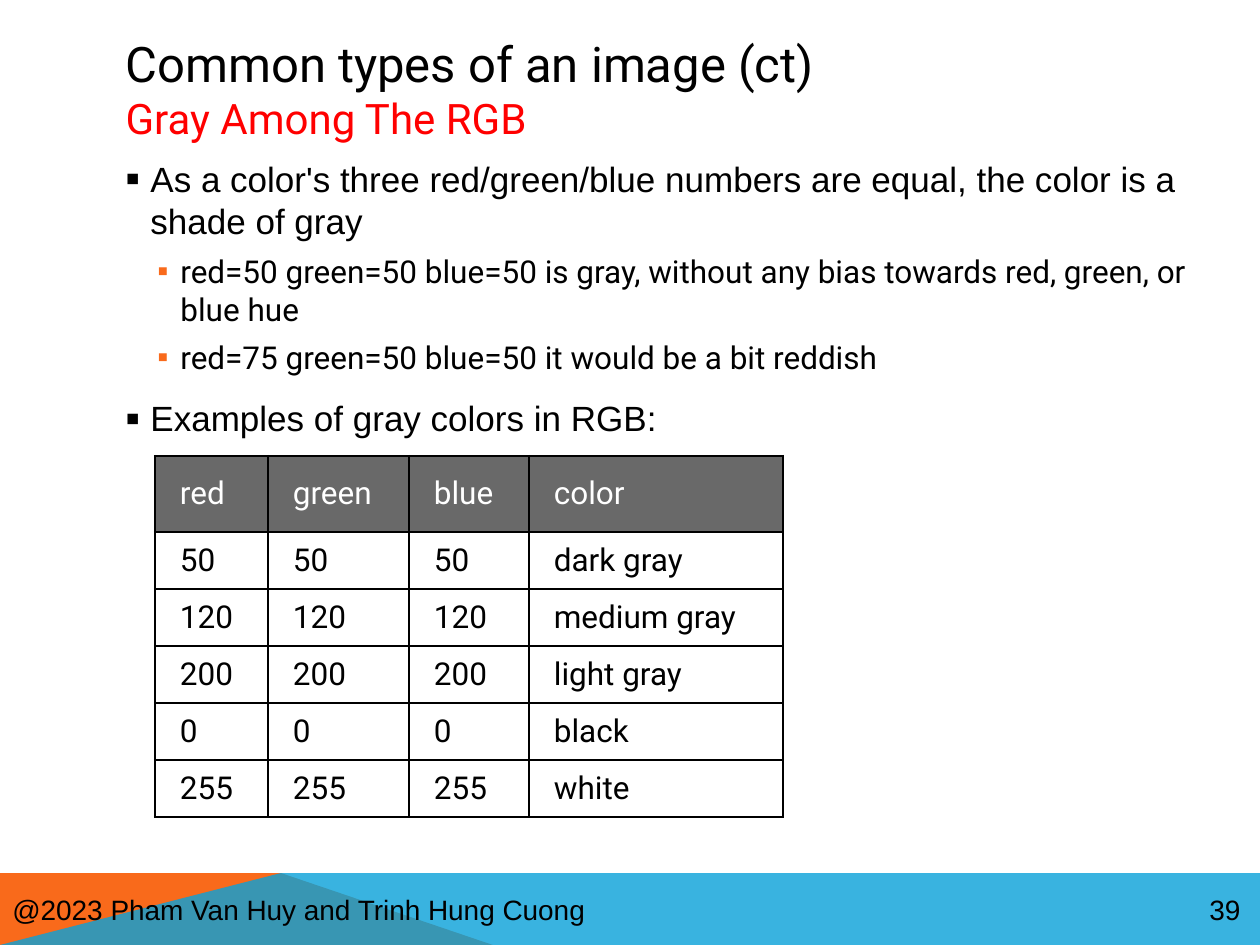
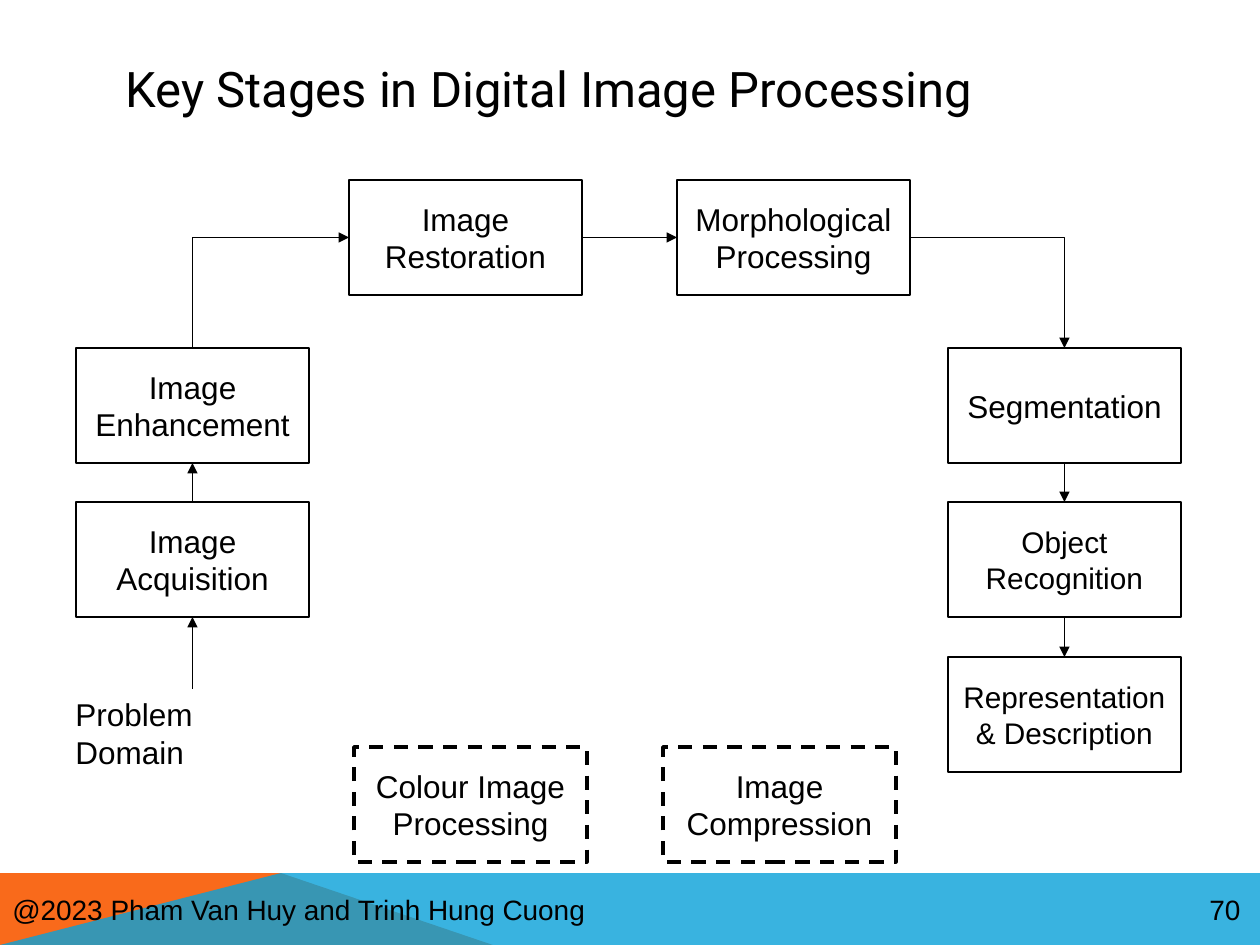
import copy
import pptx
import pptx.util
import pptx.dml.color
import pptx.enum.dml
import pptx.enum.shapes
import pptx.enum.text
import pptx.oxml
import pptx.oxml.ns

SCALE = 914400 / 126
COLORS = {
    "black": "000000", "white": "FFFFFF", "red": "FF0000",
    "orange": "F96A1B", "blue": "08A1D9", "head": "696969",
}
ALIGN = pptx.enum.text.PP_ALIGN
MIDDLE = pptx.enum.text.MSO_ANCHOR.MIDDLE
FIT = pptx.enum.text.MSO_AUTO_SIZE
LINKS = pptx.enum.shapes.MSO_CONNECTOR
TOP, LEFT, BOTTOM, RIGHT = range(4)
BOX_W, BOX_H = 233, 115


def px(*nums):
    return [pptx.util.Emu(round(n * SCALE)) for n in nums]


def rgb(name):
    return pptx.dml.color.RGBColor.from_string(COLORS[name])


def add_xml(node, tag, **attrs):
    child = pptx.oxml.ns.qn("a:" + tag)
    item = node.makeelement(child, attrs)
    node.append(item)
    return item


def write(para, text, size=18, font="Arial", color="black", align=None):
    run = para.add_run()
    run.text = text
    run.font.size = pptx.util.Pt(size)
    run.font.name = font
    run.font.color.rgb = rgb(color)
    if align is not None:
        para.alignment = align
    return run


def add_text(slide, area, anchor=None, wrap=True, fit=FIT.NONE):
    box = slide.shapes.add_textbox(*px(*area))
    frame = box.text_frame
    frame.word_wrap = wrap
    frame.auto_size = fit
    if anchor is not None:
        frame.vertical_anchor = anchor
    return box


def add_band(slide, points, color, alpha=None):
    maker = slide.shapes.build_freeform(*points[0], scale=SCALE)
    maker.add_line_segments(points[1:], close=True)
    band = maker.convert_to_shape()
    band.shadow.inherit = False
    band.fill.solid()
    band.fill.fore_color.rgb = rgb(color)
    band.line.fill.background()
    if alpha:
        tint = band._element.spPr.find(".//" + pptx.oxml.ns.qn("a:srgbClr"))
        add_xml(tint, "alpha", val=str(alpha * 1000))


def add_slide(deck, title, page, sub=None):
    slide = deck.slides.add_slide(deck.slide_layouts[5])
    head = slide.shapes.title
    head.left, head.top, head.width, head.height = px(113, 50, 1037, 76)
    frame = head.text_frame
    frame.vertical_anchor = MIDDLE
    frame.auto_size = FIT.NONE
    para = frame.paragraphs[0]
    run = write(para, title, size=28, font="Roboto", align=ALIGN.LEFT)
    if sub:
        para.add_line_break()
        para._p[-1].append(copy.deepcopy(run._r.rPr))
        write(para, sub, size=24, font="Roboto", color="red")
    add_band(slide, [(0, 945), (0, 873), (281, 873), (493, 945)], "orange")
    add_band(slide, [(0, 945), (281, 873), (1260, 873), (1260, 945)], "blue", 80)
    note = add_text(slide, (0, 886, 605, 47), anchor=MIDDLE)
    write(note.text_frame.paragraphs[0],
          "@2023 Pham Van Huy and Trinh Hung Cuong", size=16)
    num = add_text(slide, (1197, 886, 62, 47), anchor=MIDDLE)
    write(num.text_frame.paragraphs[0], page, size=16, align=ALIGN.JUSTIFY)
    return slide


def add_list(slide, area, items):
    frame = add_text(slide, area).text_frame
    for i, (level, text) in enumerate(items):
        para = frame.add_paragraph() if i else frame.paragraphs[0]
        para.level = level
        props = para._p.get_or_add_pPr()
        left, hang = px(*((55, 23) if level else (25, 25)))
        props.set("marL", str(left))
        props.set("indent", str(-hang))
        if i:
            para.space_before = pptx.util.Pt(6 if level else 12)
        if level:
            tint = add_xml(props, "buClr")
            add_xml(tint, "srgbClr", val=COLORS["orange"])
        else:
            add_xml(props, "buSzPct", val="120000")
        add_xml(props, "buFont", typeface="Arial")
        add_xml(props, "buChar", char="▪")
        write(para, text, size=18 if level else 20,
              font="Roboto" if level else "Arial")


def add_edges(cell):
    props = cell._tc.get_or_add_tcPr()
    for side in "LRTB":
        edge = add_xml(props, "ln" + side, w=str(pptx.util.Pt(1.5)))
        fill = add_xml(edge, "solidFill")
        add_xml(fill, "srgbClr", val=COLORS["black"])


def add_grid(slide, left, top, widths, heights, rows):
    area = px(left, top, sum(widths), sum(heights))
    table = slide.shapes.add_table(len(rows), len(widths), *area).table
    table.first_row = table.horz_banding = False
    for col, width in zip(table.columns, px(*widths)):
        col.width = width
    for r, (row, height) in enumerate(zip(rows, px(*heights))):
        table.rows[r].height = height
        for c, text in enumerate(row):
            cell = table.cell(r, c)
            add_edges(cell)
            cell.fill.solid()
            cell.fill.fore_color.rgb = rgb("white" if r else "head")
            cell.vertical_anchor = MIDDLE
            cell.margin_left, cell.margin_right = px(25, 25)
            cell.margin_top, cell.margin_bottom = px(*[9 if r else 13] * 2)
            write(cell.text_frame.paragraphs[0], text, font="Roboto",
                  color="black" if r else "white")


def add_box(slide, left, top, text, size=18, dash=False):
    kind = pptx.enum.shapes.MSO_SHAPE.RECTANGLE
    box = slide.shapes.add_shape(kind, *px(left, top, BOX_W, BOX_H))
    box.shadow.inherit = False
    box.fill.solid()
    box.fill.fore_color.rgb = rgb("white")
    box.line.color.rgb = rgb("black")
    box.line.width = pptx.util.Pt(2 if dash else 1)
    if dash:
        box.line.dash_style = pptx.enum.dml.MSO_LINE.DASH
    frame = box.text_frame
    frame.word_wrap = True
    frame.vertical_anchor = MIDDLE
    write(frame.paragraphs[0], text, size=size, align=ALIGN.CENTER)
    return box


def add_arrow(slide, start, out, end, into, kind=LINKS.STRAIGHT):
    link = slide.shapes.add_connector(kind, 0, 0, 0, 0)
    link.begin_connect(start, out)
    link.end_connect(end, into)
    link.line.color.rgb = rgb("black")
    link.line.width = pptx.util.Pt(1)
    add_xml(link.line._get_or_add_ln(), "tailEnd", type="triangle")
    add_xml(link._element.spPr, "effectLst")
    return link


def add_bend(slide, start, out, end, into):
    link = add_arrow(slide, start, out, end, into, LINKS.ELBOW)
    props = link._element.spPr
    props.prstGeom.set("prst", "bentConnector2")
    if out == TOP:
        wide, high = link.width, link.height
        shift = (wide - high) // 2
        link.left, link.top = link.left + shift, link.top - shift
        link.width, link.height = high, wide
        props.xfrm.attrib.pop("flipV", None)
        props.xfrm.set("rot", "16200000")


def add_gray(deck):
    slide = add_slide(deck, "Common types of an image (ct)", "39",
                      sub="Gray Among The RGB")
    add_list(slide, (113, 151, 1128, 713), [
        (0, "As a color's three red/green/blue numbers are equal, "
            "the color is a shade of gray"),
        (1, "red=50 green=50 blue=50 is gray, without any bias "
            "towards red, green, or blue hue"),
        (1, "red=75 green=50 blue=50 it would be a bit reddish"),
        (0, "Examples of gray colors in RGB:"),
    ])
    shades = [("50", "dark gray"), ("120", "medium gray"),
              ("200", "light gray"), ("0", "black"), ("255", "white")]
    rows = [("red", "green", "blue", "color")]
    rows += [(num, num, num, name) for num, name in shades]
    add_grid(slide, 155, 456, (113, 141, 120, 254),
             [76] + [57] * len(shades), rows)


def add_stages(deck):
    slide = add_slide(deck, "Key Stages in Digital Image Processing", "70")
    west, east = 76, 948
    high, upper, mid, low = 180, 348, 502, 657
    gain = add_box(slide, west, mid, "Image Acquisition")
    better = add_box(slide, west, upper, "Image Enhancement")
    mend = add_box(slide, 349, high, "Image Restoration")
    morph = add_box(slide, 677, high, "Morphological Processing")
    split = add_box(slide, east, upper, "Segmentation")
    find = add_box(slide, east, mid, "Object Recognition", size=17)
    tell = add_box(slide, east, low, "Representation & Description", size=17)
    for left, text in ((354, "Colour Image Processing"),
                       (663, "Image Compression")):
        add_box(slide, left, 747, text, dash=True)
    source = add_text(slide, (63, 689, 259, 50), wrap=False,
                      fit=FIT.SHAPE_TO_FIT_TEXT)
    write(source.text_frame.paragraphs[0], "Problem Domain")
    for start, out, end, into in (
        (source, TOP, gain, BOTTOM), (gain, TOP, better, BOTTOM),
        (mend, RIGHT, morph, LEFT),
        (split, BOTTOM, find, TOP), (find, BOTTOM, tell, TOP),
    ):
        add_arrow(slide, start, out, end, into)
    add_bend(slide, better, TOP, mend, LEFT)
    add_bend(slide, morph, RIGHT, split, TOP)


def main():
    deck = pptx.Presentation()
    deck.slide_width, deck.slide_height = px(1260, 945)
    add_gray(deck)
    add_stages(deck)
    deck.save("out.pptx")


if __name__ == "__main__":
    main()
